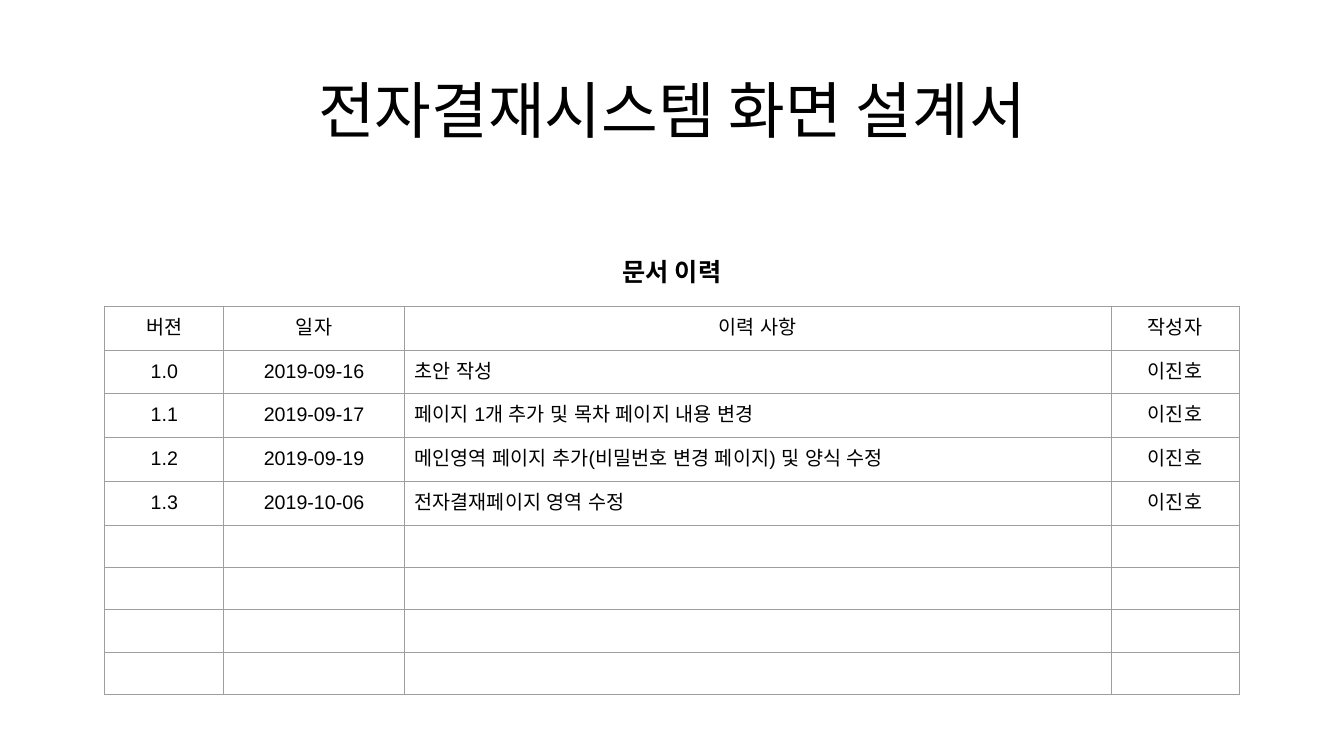
from lxml import etree
from pptx import Presentation
from pptx.dml.color import RGBColor
from pptx.enum.text import MSO_ANCHOR, PP_ALIGN
from pptx.oxml.ns import qn
from pptx.util import Inches, Pt

CENTER, LEFT = PP_ALIGN.CENTER, PP_ALIGN.LEFT
MIDDLE = MSO_ANCHOR.MIDDLE
BLACK = RGBColor(0x00, 0x00, 0x00)
BORDER_GRAY = RGBColor(0x9E, 0x9E, 0x9E)
KOREAN_FONT = "Noto Sans CJK KR"
TABLE_FONT = "Arial"

COLUMN_WIDTHS = (1.18, 1.79, 7.01, 1.27)
DETAIL_COLUMN = 2
ROW_HEIGHT = 0.42
ROW_COUNT = 9
CELL_MARGIN = 0.1
AUTHOR = "이진호"
HISTORY = (
    ("버젼", "일자", "이력 사항", "작성자"),
    ("1.0", "2019-09-16", "초안 작성", AUTHOR),
    ("1.1", "2019-09-17", "페이지 1개 추가 및 목차 페이지 내용 변경", AUTHOR),
    ("1.2", "2019-09-19", "메인영역 페이지 추가(비밀번호 변경 페이지) 및 양식 수정", AUTHOR),
    ("1.3", "2019-10-06", "전자결재페이지 영역 수정", AUTHOR),
)


def format_paragraph(paragraph, font_name, size, alignment=CENTER, bold=False):
    """Style the runs, naming the font for Latin and East Asian text alike."""
    paragraph.alignment = alignment
    for run in paragraph.runs:
        font = run.font
        font.name, font.size, font.bold = font_name, Pt(size), bold
        font.color.rgb = BLACK
        latin = run._r.rPr.find(qn("a:latin"))
        east_asian = etree.Element(qn("a:ea"), typeface=font_name)
        latin.addnext(east_asian)


def set_margins(target, vertical):
    target.margin_left = target.margin_right = Inches(0.1)
    target.margin_top = target.margin_bottom = Inches(vertical)


def add_heading(slide, text, left, top, width, height, size, margin, bold=False):
    box = slide.shapes.add_textbox(
        Inches(left), Inches(top), Inches(width), Inches(height))
    text_frame = box.text_frame
    text_frame.word_wrap = True
    text_frame.vertical_anchor = MIDDLE
    set_margins(text_frame, margin)
    text_frame.text = text
    paragraph = text_frame.paragraphs[0]
    format_paragraph(paragraph, KOREAN_FONT, size, bold=bold)
    return paragraph


def set_borders(cell):
    properties = cell._tc.get_or_add_tcPr()
    for position, side in enumerate(("lnL", "lnR", "lnT", "lnB")):
        line = etree.Element(qn(f"a:{side}"), w=str(Pt(0.75)))
        fill = etree.SubElement(line, qn("a:solidFill"))
        etree.SubElement(fill, qn("a:srgbClr"), val=str(BORDER_GRAY))
        properties.insert(position, line)


def fill_cell(cell, text, alignment):
    set_margins(cell, CELL_MARGIN)
    cell.text_frame.text = text
    format_paragraph(cell.text_frame.paragraphs[0], TABLE_FONT, 14, alignment)


def add_history_table(slide, left, top):
    frame = slide.shapes.add_table(
        ROW_COUNT, len(COLUMN_WIDTHS), Inches(left), Inches(top),
        Inches(sum(COLUMN_WIDTHS)), Inches(ROW_HEIGHT * ROW_COUNT))
    table = frame.table
    table.first_row = table.horz_banding = False
    for column, width in zip(table.columns, COLUMN_WIDTHS):
        column.width = Inches(width)
    for row in table.rows:
        row.height = Inches(ROW_HEIGHT)
        for cell in row.cells:
            cell.fill.background()
            set_borders(cell)
    for row_index, entry in enumerate(HISTORY):
        for column_index, text in enumerate(entry):
            is_detail = row_index > 0 and column_index == DETAIL_COLUMN
            fill_cell(table.cell(row_index, column_index), text,
                      LEFT if is_detail else CENTER)


def main():
    presentation = Presentation()
    presentation.slide_width = Inches(13.33)
    presentation.slide_height = Inches(7.5)
    slide = presentation.slides.add_slide(presentation.slide_layouts[6])

    title = add_heading(slide, "전자결재시스템 화면 설계서",
                        0.92, 0.4, 11.5, 1.45, size=44, margin=0.05)
    title.line_spacing = 0.9
    add_history_table(slide, 1.04, 3.04)
    add_heading(slide, "문서 이력", 1.04, 2.47, 11.25, 0.44,
                size=18, margin=0.1, bold=True)
    presentation.save("out.pptx")


if __name__ == "__main__":
    main()
